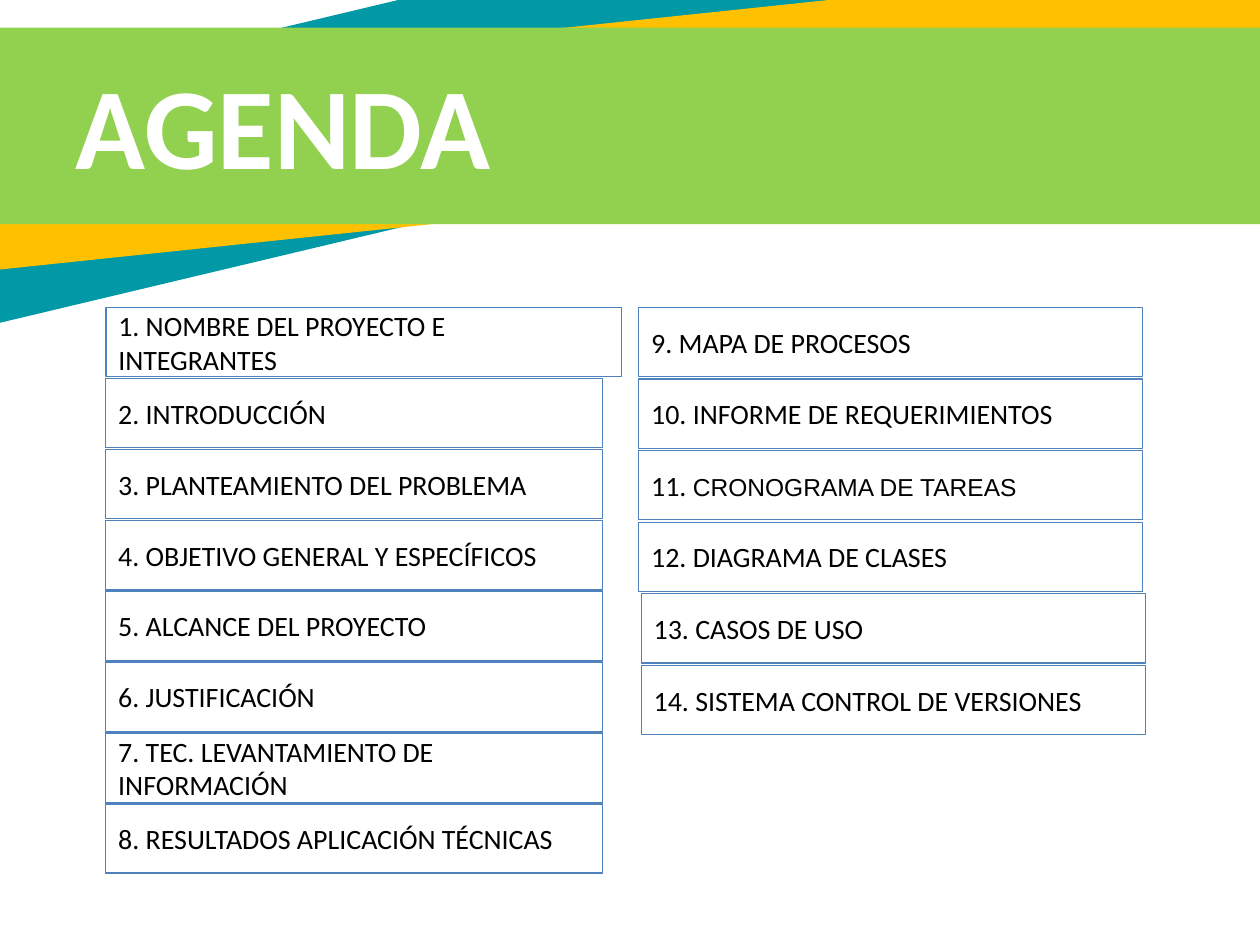
from pptx import Presentation
from pptx.dml.color import RGBColor
from pptx.enum.shapes import MSO_SHAPE
from pptx.enum.text import MSO_ANCHOR, PP_ALIGN
from pptx.util import Inches, Pt

TEAL = RGBColor(0x00, 0x99, 0xA5)
AMBER = RGBColor(0xFF, 0xC0, 0x00)
GREEN = RGBColor(0x92, 0xD0, 0x50)
BLUE = RGBColor(0x4F, 0x81, 0xBD)
BLACK = RGBColor(0x00, 0x00, 0x00)
WHITE = RGBColor(0xFF, 0xFF, 0xFF)

FIRST_TOPICS = [
    "1. NOMBRE DEL PROYECTO E INTEGRANTES",
    "2. INTRODUCCIÓN",
    "3. PLANTEAMIENTO DEL PROBLEMA",
    "4. OBJETIVO GENERAL Y ESPECÍFICOS",
    "5. ALCANCE DEL PROYECTO",
    "6. JUSTIFICACIÓN",
    "7. TEC. LEVANTAMIENTO DE INFORMACIÓN",
    "8. RESULTADOS APLICACIÓN TÉCNICAS",
]
SECOND_TOPICS = [
    "9. MAPA DE PROCESOS",
    "10. INFORME DE REQUERIMIENTOS",
    "11. ",
    "12. DIAGRAMA DE CLASES",
    "13. CASOS DE USO",
    "14. SISTEMA CONTROL DE VERSIONES",
]


def add_text(shape, text, size=16, font="Calibri", color=BLACK, bold=False):
    frame = shape.text_frame
    frame.word_wrap = True
    frame.vertical_anchor = MSO_ANCHOR.MIDDLE
    paragraph = frame.paragraphs[0]
    paragraph.alignment = PP_ALIGN.LEFT
    run = paragraph.add_run()
    run.text = text
    run.font.size = Pt(size)
    run.font.name = font
    run.font.color.rgb = color
    run.font.bold = bold


def add_rectangle(slide, left, top, width, height):
    rectangle = slide.shapes.add_shape(
        MSO_SHAPE.RECTANGLE, Inches(left), Inches(top), Inches(width), Inches(height)
    )
    rectangle.shadow.inherit = False
    return rectangle


def add_band(slide, left, top, width, height, color, rotation=0):
    band = add_rectangle(slide, left, top, width, height)
    band.rotation = rotation
    band.fill.solid()
    band.fill.fore_color.rgb = color
    band.line.fill.background()


def add_heading(slide, text):
    heading = slide.shapes.title
    heading.left, heading.top = Inches(0.5), Inches(0.49)
    heading.width, heading.height = Inches(6.58), Inches(0.97)
    add_text(heading, text, size=66, color=WHITE, bold=True)
    slide.shapes._spTree.append(heading._element)


def add_topics(slide, topics, left, width, first_top, last_top):
    pitch = (last_top - first_top) / (len(topics) - 1)
    boxes = []
    for row, topic in enumerate(topics):
        box = add_rectangle(slide, left, first_top + row * pitch, width, 0.55)
        box.fill.background()
        box.line.color.rgb = BLUE
        box.line.width = Pt(0.75)
        add_text(box, topic)
        boxes.append(box)
    return boxes


def main():
    presentation = Presentation()
    presentation.slide_width = Inches(10)
    presentation.slide_height = Inches(7.5)
    slide = presentation.slides.add_slide(presentation.slide_layouts[5])

    add_band(slide, -2.51, -0.18, 13.06, 1.76, TEAL, rotation=346.6)
    add_band(slide, -1.1, 0.2, 11.63, 1.44, AMBER, rotation=354)
    add_band(slide, -1.06, 0.22, 11.63, 1.56, GREEN)
    add_heading(slide, "AGENDA")

    first_column = add_topics(slide, FIRST_TOPICS, 0.84, 3.94, 2.44, 6.38)
    first_column[0].width = Inches(4.09)

    second_column = add_topics(slide, SECOND_TOPICS, 5.07, 4, 2.44, 5.28)
    add_text(second_column[2], "CRONOGRAMA DE TAREAS", size=14, font="Arial")
    for box in second_column[4:]:
        box.left = Inches(5.09)

    presentation.save("out.pptx")


if __name__ == "__main__":
    main()
